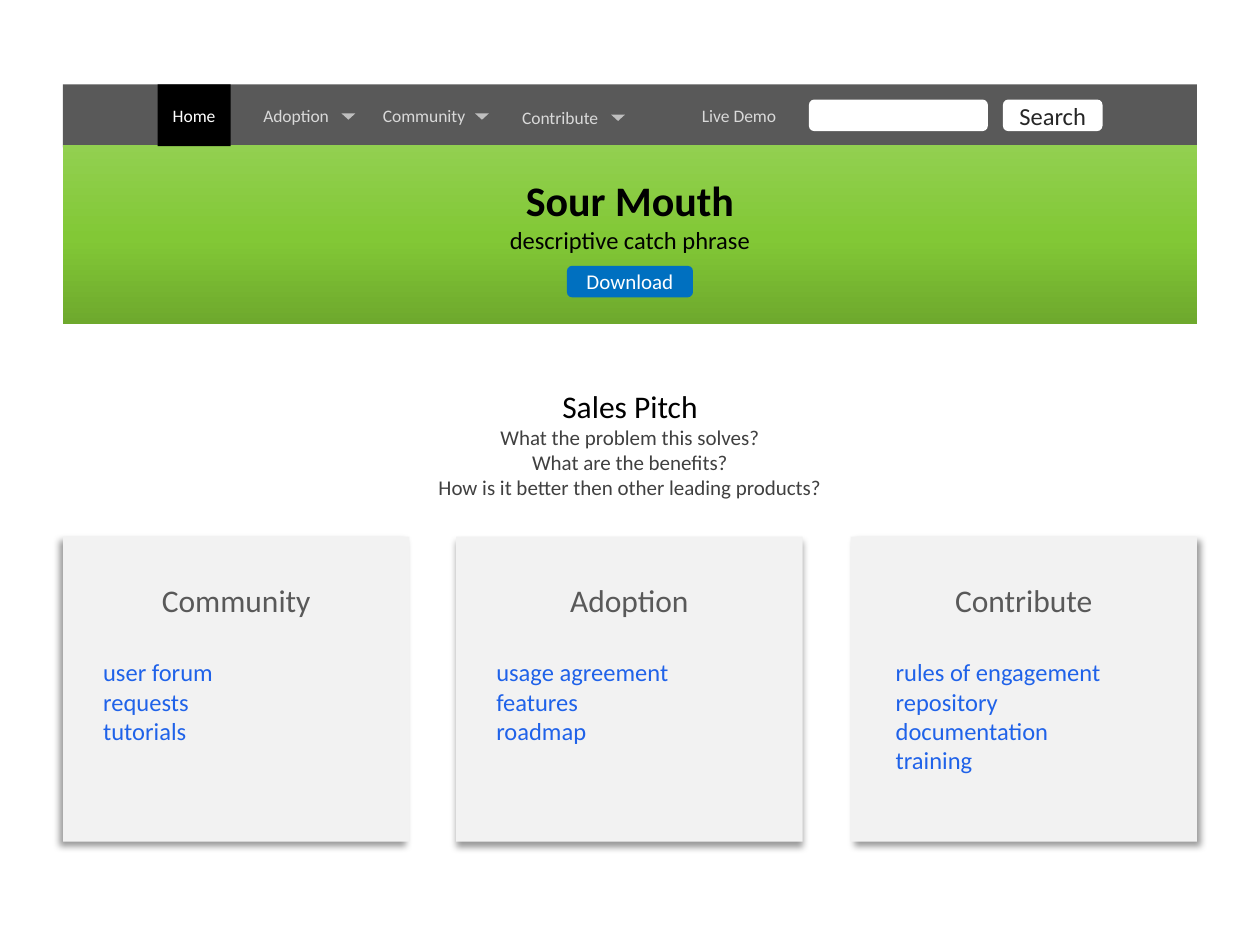
from copy import deepcopy
from dataclasses import dataclass

from lxml import etree
from pptx import Presentation
from pptx.dml.color import RGBColor
from pptx.enum.shapes import MSO_SHAPE
from pptx.enum.text import MSO_ANCHOR, MSO_AUTO_SIZE, PP_ALIGN
from pptx.oxml.ns import qn
from pptx.util import Inches, Pt

RECTANGLE = MSO_SHAPE.RECTANGLE
ROUNDED = MSO_SHAPE.ROUNDED_RECTANGLE
TRIANGLE = MSO_SHAPE.ISOSCELES_TRIANGLE
MIDDLE, TOP = MSO_ANCHOR.MIDDLE, MSO_ANCHOR.TOP
CENTER, LEFT = PP_ALIGN.CENTER, PP_ALIGN.LEFT
NO_FIT = MSO_AUTO_SIZE.NONE
COLUMNS, ROWS = 120, 90
LEFT_COLUMN, FULL_WIDTH = 6, 108
CARD_WIDTH, CARD_PITCH = 33, 37.5


@dataclass(frozen=True)
class Theme:
    font: str = "Calibri"
    white: str = "FFFFFF"
    black: str = "000000"
    bar: str = "595959"
    menu: str = "D9D9D9"
    arrow: str = "BFBFBF"
    search: str = "262626"
    button: str = "0070C0"
    card: str = "F2F2F2"
    heading: str = "595959"
    link: str = "1F62E9"
    pitch: str = "404040"
    banner: tuple = ((0, "6EA92D"), (0.48, "82C836"), (1, "92D050"))
    hero: int = 24
    large: int = 18
    medium: int = 14
    small: int = 12
    tiny: int = 10


THEME = Theme()

MENU = [
    ("Adoption", 23.4, 8, 9.6, True),
    ("Community", 35, 8, 10.7, True),
    ("Contribute", 48, 8.15, 10.7, True),
    ("Live Demo", 65, 8, 10.7, False),
]
CARDS = [
    ("Community", 135, 0.22, ["user forum", "requests", "tutorials"]),
    ("Adoption", 90, 0.22, ["usage agreement", "features", "roadmap"]),
    ("Contribute", 45, 0.26,
     ["rules of engagement", "repository", "documentation", "training"]),
]
PITCH = [
    "What the problem this solves?",
    "What are the benefits?",
    "How is it better then other leading products?",
]


def grid(*cells):
    return [Inches(round(cell / 12, 2)) for cell in cells]


def apply_format(target, values):
    for name, value in values.items():
        setattr(target, name, value)


def write_line(para, text, size, color, bold=False, align=CENTER):
    apply_format(para, {"alignment": align, "space_before": Pt(0)})
    span = para.add_run()
    span.text = text
    apply_format(span.font, {"name": THEME.font, "size": Pt(size), "bold": bold})
    span.font.color.rgb = RGBColor.from_string(color)


def write_lines(box, lines, anchor=MIDDLE):
    frame = box.text_frame
    apply_format(frame, {"word_wrap": True, "auto_size": NO_FIT, "vertical_anchor": anchor})
    for index, line in enumerate(lines):
        para = frame.add_paragraph() if index else frame.paragraphs[0]
        write_line(para, *line)
    return frame


def add_box(shapes, kind, cells, color):
    box = shapes.add_shape(kind, *grid(*cells))
    box.shadow.inherit = False
    box.line.fill.background()
    box.fill.solid()
    box.fill.fore_color.rgb = RGBColor.from_string(color)
    return box


def fill_placeholder(page, box, cells, lines):
    page.shapes._spTree.append(box._element)
    apply_format(box, dict(zip(("left", "top", "width", "height"), grid(*cells))))
    for para in write_lines(box, lines).paragraphs:
        settings = para._p.get_or_add_pPr()
        settings.set("marL", "0")
        settings.set("indent", "0")
        etree.SubElement(settings, qn("a:buNone"))


def add_banner(shapes):
    banner = add_box(shapes, RECTANGLE, (LEFT_COLUMN, 13.8, FULL_WIDTH, 17), THEME.white)
    banner.fill.gradient()
    banner.fill.gradient_angle = 90
    stop_list = banner._element.spPr.find(".//" + qn("a:gsLst"))
    stop_list.append(deepcopy(stop_list[0]))
    for stop, (position, color) in zip(banner.fill.gradient_stops, THEME.banner):
        stop.position = position
        stop.color.rgb = RGBColor.from_string(color)


def add_shadow(box, angle):
    effects = box._element.spPr.find(qn("a:effectLst"))
    shadow = etree.SubElement(effects, qn("a:outerShdw"), {
        "blurRad": str(Pt(4)), "dist": str(Pt(3)),
        "dir": str(angle * 60000), "rotWithShape": "0",
    })
    color = etree.SubElement(shadow, qn("a:srgbClr"), val=THEME.black)
    etree.SubElement(color, qn("a:alpha"), val="40000")


def add_menu_item(shapes, label, column, row, width, has_arrow):
    target = shapes.add_group_shape().shapes if has_arrow else shapes
    box = target.add_textbox(*grid(column, row, width, 6))
    write_lines(box, [(label, THEME.tiny, THEME.menu)])
    if has_arrow:
        cells = (column + width - 0.5, row + 2.8, 1.3, 0.6)
        add_box(target, TRIANGLE, cells, THEME.arrow).rotation = 180


def add_card(shapes, column, heading, angle, indent, links):
    box = add_box(shapes, RECTANGLE, (column, 51.1, CARD_WIDTH, 29), THEME.card)
    add_shadow(box, angle)
    lines = [(heading, THEME.large, THEME.heading)]
    lines += [(link, THEME.medium, THEME.link, False, LEFT) for link in links]
    frame = write_lines(box, lines, TOP)
    frame.margin_top = Inches(0.35)
    frame.paragraphs[0].space_after = Pt(22)
    for para in frame.paragraphs[1:]:
        para._p.get_or_add_pPr().set("marL", str(Inches(indent)))


def add_navigation(shapes):
    add_box(shapes, RECTANGLE, (LEFT_COLUMN, 8, FULL_WIDTH, 6), THEME.bar)
    add_box(shapes, ROUNDED, (77, 9.5, 17, 3), THEME.white)
    search = add_box(shapes, ROUNDED, (95.5, 9.5, 9.5, 3), THEME.white)
    write_lines(search, [("Search", THEME.medium, THEME.search)])


def add_menu(shapes):
    home = add_box(shapes, RECTANGLE, (15, 8, 7, 5.9), THEME.black)
    write_lines(home, [("Home", THEME.tiny, THEME.white)])
    for item in MENU:
        add_menu_item(shapes, *item)


def main():
    deck = Presentation()
    deck.slide_width, deck.slide_height = grid(COLUMNS, ROWS)
    page = deck.slides.add_slide(deck.slide_layouts[1])
    shapes = page.shapes
    title, body = page.placeholders

    add_navigation(shapes)
    add_banner(shapes)
    pitch = [("Sales Pitch", THEME.large, THEME.black)]
    pitch += [(line, THEME.small, THEME.pitch) for line in PITCH]
    fill_placeholder(page, body, (LEFT_COLUMN, 33.4, FULL_WIDTH, 17.75), pitch)
    fill_placeholder(page, title, (LEFT_COLUMN, 16, FULL_WIDTH, 8.9), [
        ("Sour Mouth", THEME.hero, THEME.black, True),
        ("descriptive catch phrase", THEME.medium, THEME.black),
    ])
    download = add_box(shapes, ROUNDED, (54, 25.3, 12, 3), THEME.button)
    write_lines(download, [("Download", THEME.small, THEME.white)])
    for index, card in enumerate(CARDS):
        add_card(shapes, LEFT_COLUMN + index * CARD_PITCH, *card)
    add_menu(shapes)
    deck.save("out.pptx")


if __name__ == "__main__":
    main()
